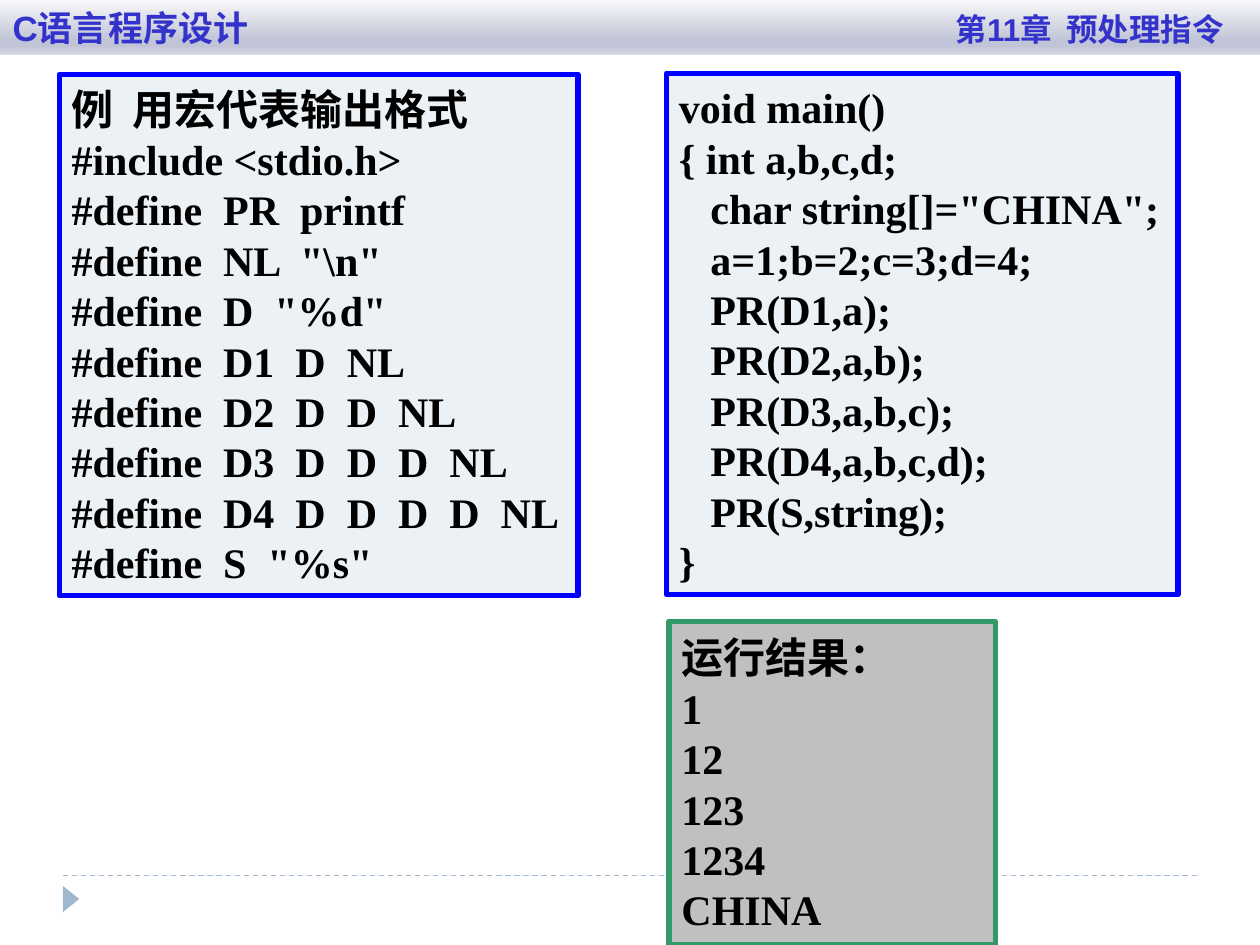
from lxml import etree
from pptx import Presentation
from pptx.dml.color import RGBColor
from pptx.enum.dml import MSO_LINE
from pptx.enum.shapes import MSO_CONNECTOR, MSO_SHAPE
from pptx.enum.text import MSO_ANCHOR, MSO_AUTO_SIZE, PP_ALIGN
from pptx.oxml.ns import qn
from pptx.util import Pt

RECT, TRI = MSO_SHAPE.RECTANGLE, MSO_SHAPE.ISOSCELES_TRIANGLE
MID, LEFT = MSO_ANCHOR.MIDDLE, PP_ALIGN.LEFT
COLORS = {
    "code": "ECF1F5", "blue": "0000FF", "gray": "C0C0C0", "green": "339966",
    "black": "000000", "head": "3333CC", "mark": "9FB8CD",
}
STOPS = [(0, "F8F8FA"), (74, "C0C4D6"), (83, "C0C4D6"), (100, "D5D8E3")]
HEAD = [("C语言程序设计", 20), ("\t", 20), ("第11章  预处理指令", 18)]
HEAD_TAB = 692
DEFINES = ["PR  printf", 'NL  "\\n"', 'D  "%d"']
DEFINES += [f"D{n}  " + "D  " * n + "NL" for n in range(1, 5)]
DEFINES += ['S  "%s"']
BODY = [
    'char string[]="CHINA";', "a=1;b=2;c=3;d=4;", "PR(D1,a);", "PR(D2,a,b);",
    "PR(D3,a,b,c);", "PR(D4,a,b,c,d);", "PR(S,string);",
]
# Each line is a pair: text, indent level
MACROS = [("例  用宏代表输出格式", 0), ("#include <stdio.h>", 0)]
MACROS += [("#define  " + text, 0) for text in DEFINES]
MAIN = [("void main()", 0), ("{ int a,b,c,d;", 0)]
MAIN += [(text, 1) for text in BODY] + [("}", 0)]
RESULT = [(text, 0) for text in ("运行结果：", "1", "12", "123", "1234", "CHINA")]
BOXES = [
    (MACROS, (33.8, 42.5, 296.6, 298), "code", "blue"),
    (RESULT, (382.3, 355, 186.5, 185), "gray", "green"),
    (MAIN, (380.9, 41.8, 292.3, 298), "code", "blue"),
]
INDENT, PITCH, SIZE = 18, 28.8, 24


def rgb(name):
    """Return the named colour."""
    return RGBColor.from_string(COLORS[name])


def put(obj, **vals):
    """Set each given attribute on obj."""
    for key, val in vals.items():
        setattr(obj, key, val)


def add_run(para, text, face, size, color):
    """Add a bold run to a paragraph."""
    run = para.add_run()
    run.text = text
    put(run.font, name=face, size=Pt(size), bold=True)
    run.font.color.rgb = rgb(color)


def add_shape(slide, kind, place, fill, edge=None):
    """Add a flat shape, outlined if an edge colour is given."""
    shape = slide.shapes.add_shape(kind, *map(Pt, place))
    shape.shadow.inherit = False
    shape.fill.solid()
    shape.fill.fore_color.rgb = rgb(fill)
    if edge:
        shape.line.color.rgb = rgb(edge)
        shape.line.width = Pt(3)
    else:
        shape.line.fill.background()
    return shape


def add_box(slide, lines, place, fill, edge):
    """Add a framed box of code lines."""
    frame = add_shape(slide, RECT, place, fill, edge).text_frame
    put(frame, word_wrap=False, vertical_anchor=MID)
    for i, (text, level) in enumerate(lines):
        para = frame.add_paragraph() if i else frame.paragraphs[0]
        para.alignment = LEFT
        if text.isascii():
            para.line_spacing = Pt(PITCH)
        if level:
            para._p.get_or_add_pPr().set("marL", str(Pt(INDENT * level)))
        add_run(para, text, "Times New Roman", SIZE, "black")


def add_head(slide):
    """Fill the title bar, chapter name on a right tab."""
    bar = slide.shapes.title
    put(bar, left=0, top=0, width=Pt(720), height=Pt(31.5))
    grad = etree.SubElement(bar._element.spPr, qn("a:gradFill"))
    stops = etree.SubElement(grad, qn("a:gsLst"))
    for pos, color in STOPS:
        stop = etree.SubElement(stops, qn("a:gs"), pos=str(pos * 1000))
        etree.SubElement(stop, qn("a:srgbClr"), val=color)
    etree.SubElement(grad, qn("a:lin"), ang="5400000", scaled="0")
    frame = bar.text_frame
    put(frame, word_wrap=True, vertical_anchor=MID, auto_size=MSO_AUTO_SIZE.NONE)
    para = frame.paragraphs[0]
    put(para, alignment=LEFT, space_before=Pt(0))
    tabs = etree.SubElement(para._p.get_or_add_pPr(), qn("a:tabLst"))
    etree.SubElement(tabs, qn("a:tab"), pos=str(Pt(HEAD_TAB)), algn="r")
    for text, size in HEAD:
        add_run(para, text, "Arial", size, "head")


def add_foot(slide):
    """Add the dashed rule and the side mark."""
    ends = map(Pt, (36, 500.4, 684, 500.4))
    rule = slide.shapes.add_connector(MSO_CONNECTOR.STRAIGHT, *ends)
    put(rule.line, width=Pt(0.75), dash_style=MSO_LINE.DASH)
    rule.line.color.rgb = rgb("mark")
    etree.SubElement(rule._element.spPr, qn("a:effectLst"))
    add_shape(slide, TRI, (33.1, 509, 15, 9.4), "mark").rotation = 90


deck = Presentation()
put(deck, slide_width=Pt(720), slide_height=Pt(540))
slide = deck.slides.add_slide(deck.slide_layouts[5])
add_head(slide)
add_foot(slide)
for box in BOXES:
    add_box(slide, *box)
deck.save("out.pptx")
